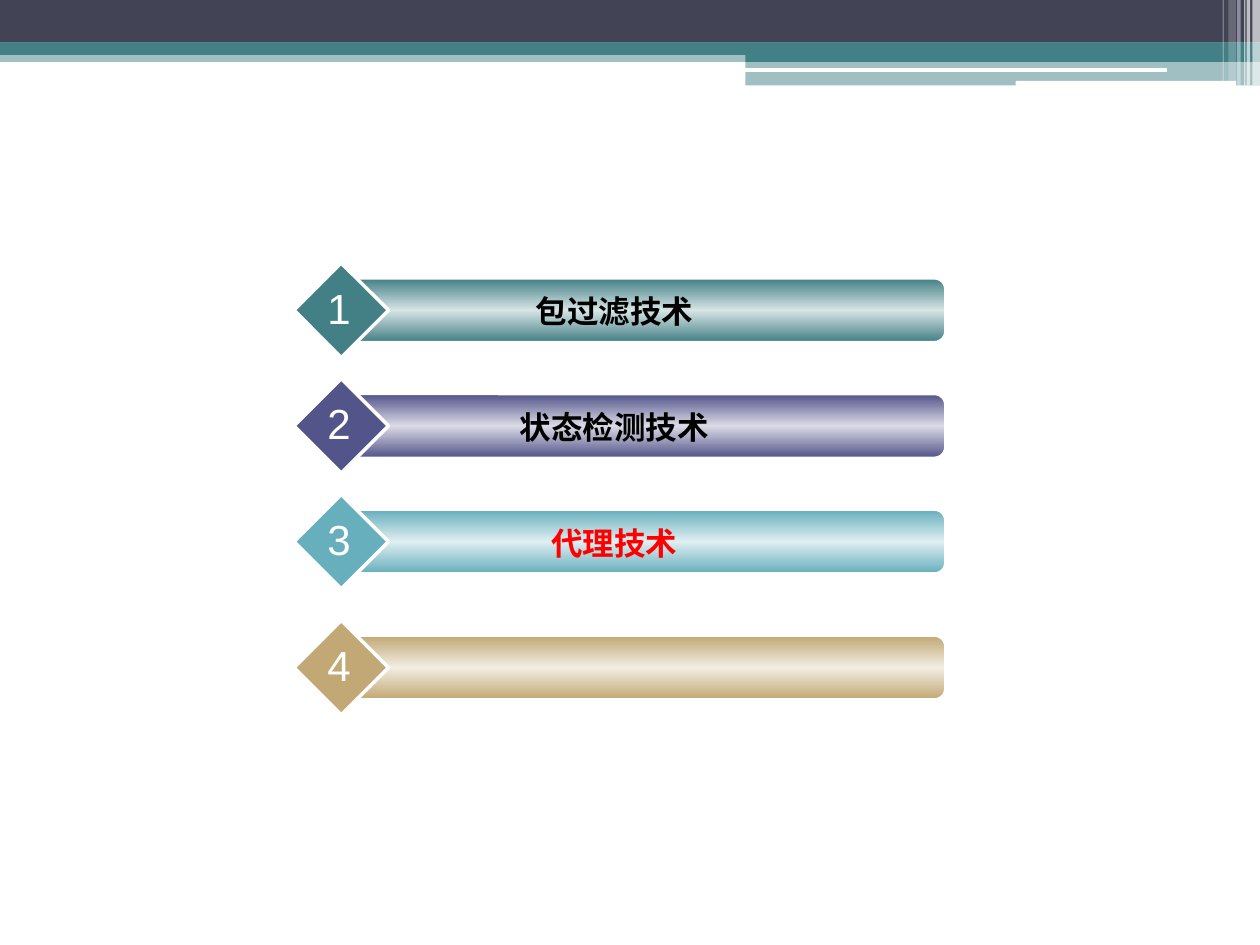
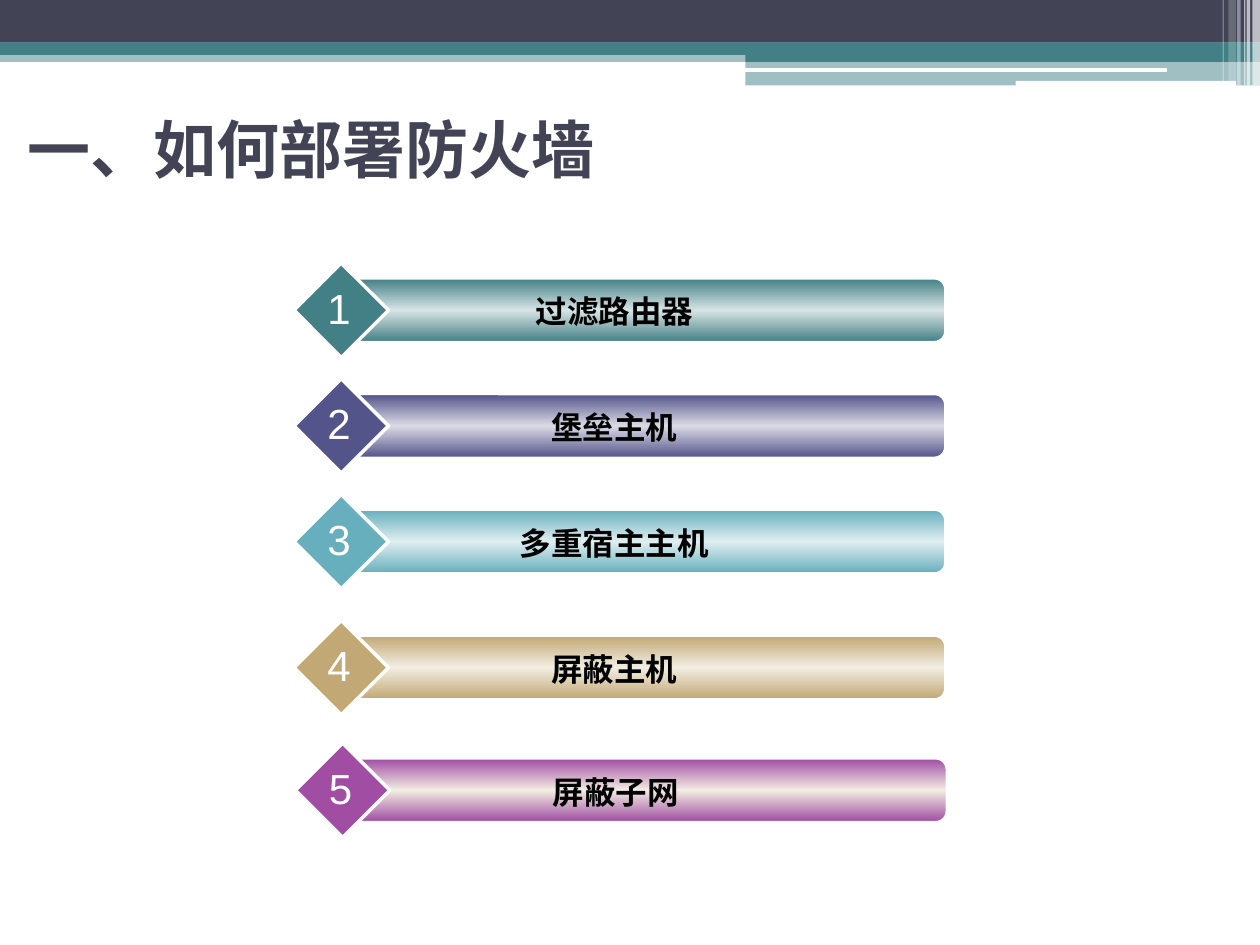
"""Build two firewall agenda slides with numbered gradient bars."""
from copy import deepcopy
from dataclasses import dataclass

from lxml import etree
from pptx import Presentation
from pptx.dml.color import RGBColor
from pptx.enum import shapes, text
from pptx.oxml import ns
from pptx.util import Pt


@dataclass(frozen=True)
class Theme:
    teal: str = "438086"
    navy: str = "424456"
    white: str = "FFFFFF"
    black: str = "000000"
    red: str = "FF0000"
    body_font: str = "Arial"
    title_font: str = "Roboto"
    title_size: int = 36
    number_size: int = 24
    label_size: int = 18


T = Theme()

SLIDES = [
    {"title": None, "current": "代理技术",
     "labels": ["包过滤技术", "状态检测技术", "代理技术", None]},
    {"title": "一、如何部署防火墙", "current": None,
     "labels": ["过滤路由器", "堡垒主机", "多重宿主主机", "屏蔽主机", "屏蔽子网"]},
]

# left, top, edge colour, middle colour
ROWS = [
    (198, 159.3, T.teal, "D7E4E5"),
    (198, 225.4, "53548A", "DBDBE6"),
    (198, 291.5, "67AFBD", "DFEEF1"),
    (198, 363.5, "C2A874", "F2EDE2"),
    (198.8, 433.6, "A04DA3", "F2EDE2"),
]
BAR_W, BAR_H, DIAMOND = 342, 36, 54

RECT = shapes.MSO_SHAPE.RECTANGLE
ROUND = shapes.MSO_SHAPE.ROUNDED_RECTANGLE

# kind, left, top, width, height, colour, opacity in percent
BANDS = [
    (RECT, 0, 28.8, 720, 6.6, T.teal, 50),
    (RECT, 0, 0, 720, 24.4, T.navy, 100),
    (RECT, 0, 24.2, 720, 7.2, T.teal, 100),
    (RECT, 426, 28.2, 294, 7.2, T.teal, 100),
    (RECT, 426, 35, 294, 13.8, T.teal, 50),
    (ROUND, 425.6, 39, 241.2, 2.16, T.white, 100),
    (ROUND, 580.4, 46.2, 126, 2.88, T.white, 100),
]
# left, width, height, opacity in percent
STRIPES = [
    (715.6, 4.4, 48.8, 65),
    (712.4, 2, 48.8, 65),
    (710.9, 0.7, 48.8, 60),
    (707, 2, 48.8, 40),
    (702, 4.3, 46.2, 20),
    (698.7, 0.7, 46.2, 30),
]


def rgb(value):
    return RGBColor.from_string(value)


def add_shape(parent, kind, box, color, opacity=100, line=None):
    s = parent.shapes.add_shape(kind, *map(Pt, box))
    s.shadow.inherit = False
    s.fill.solid()
    s.fill.fore_color.rgb = rgb(color)
    if opacity < 100:
        clr = s._element.spPr.find(".//" + ns.qn("a:srgbClr"))
        etree.SubElement(clr, ns.qn("a:alpha"), val=str(opacity * 1000))
    if line:
        s.line.color.rgb = rgb(T.white)
        s.line.width = Pt(line)
    else:
        s.line.fill.background()
    return s


def set_gradient(s, colors):
    s.fill.gradient()
    s.fill.gradient_angle = 90
    stops = s._element.spPr.find(".//" + ns.qn("a:gsLst"))
    stops.append(deepcopy(stops[0]))
    for i, (stop, color) in enumerate(zip(s.fill.gradient_stops, colors)):
        stop.position = i / (len(colors) - 1)
        stop.color.rgb = rgb(color)


def add_text(parent, box, content, size, color, font=T.body_font, bold=False, wrap=True):
    s = parent.shapes.add_textbox(*map(Pt, box))
    tf = s.text_frame
    tf.word_wrap = wrap
    tf.text = content
    p = tf.paragraphs[0]
    p.alignment = text.PP_ALIGN.CENTER
    p.font.name, p.font.size, p.font.bold = font, Pt(size), bold
    p.font.color.rgb = rgb(color)
    return tf


def add_header(slide):
    for kind, x, y, w, h, color, opacity in BANDS:
        add_shape(slide, kind, (x, y, w, h), color, opacity)
    for x, w, h, opacity in STRIPES:
        add_shape(slide, RECT, (x, 0, w, h), T.white, opacity)


def add_title(slide, title):
    tf = add_text(slide, (8.6, 45.4, 711.4, 78.5), title, T.title_size,
                  T.navy, T.title_font, bold=True)
    tf.vertical_anchor = text.MSO_ANCHOR.MIDDLE
    tf.paragraphs[0].alignment = text.PP_ALIGN.LEFT


def add_row(slide, number, label, row, label_color):
    x, y, edge, middle = row
    group = slide.shapes.add_group_shape()
    bar = add_shape(group, ROUND, (x, y, BAR_W, BAR_H), edge, line=1)
    set_gradient(bar, (edge, middle, edge))
    add_shape(group, shapes.MSO_SHAPE.DIAMOND,
              (x - 30, y - (DIAMOND - BAR_H) / 2, DIAMOND, DIAMOND), edge, line=2)
    if label:
        add_text(group, (x + 18, y + 4.3, 270, 29), label, T.label_size,
                 label_color, bold=True)
    add_text(group, (x - 18, y - 1.6, 27, 36), str(number), T.number_size,
             T.white, wrap=False)


def main():
    prs = Presentation()
    prs.slide_width, prs.slide_height = Pt(720), Pt(540)
    for content in SLIDES:
        slide = prs.slides.add_slide(prs.slide_layouts[6])
        add_header(slide)
        if content["title"]:
            add_title(slide, content["title"])
        for number, (label, row) in enumerate(zip(content["labels"], ROWS), 1):
            color = T.red if label and label == content["current"] else T.black
            add_row(slide, number, label, row, color)
    prs.save("out.pptx")


if __name__ == "__main__":
    main()
